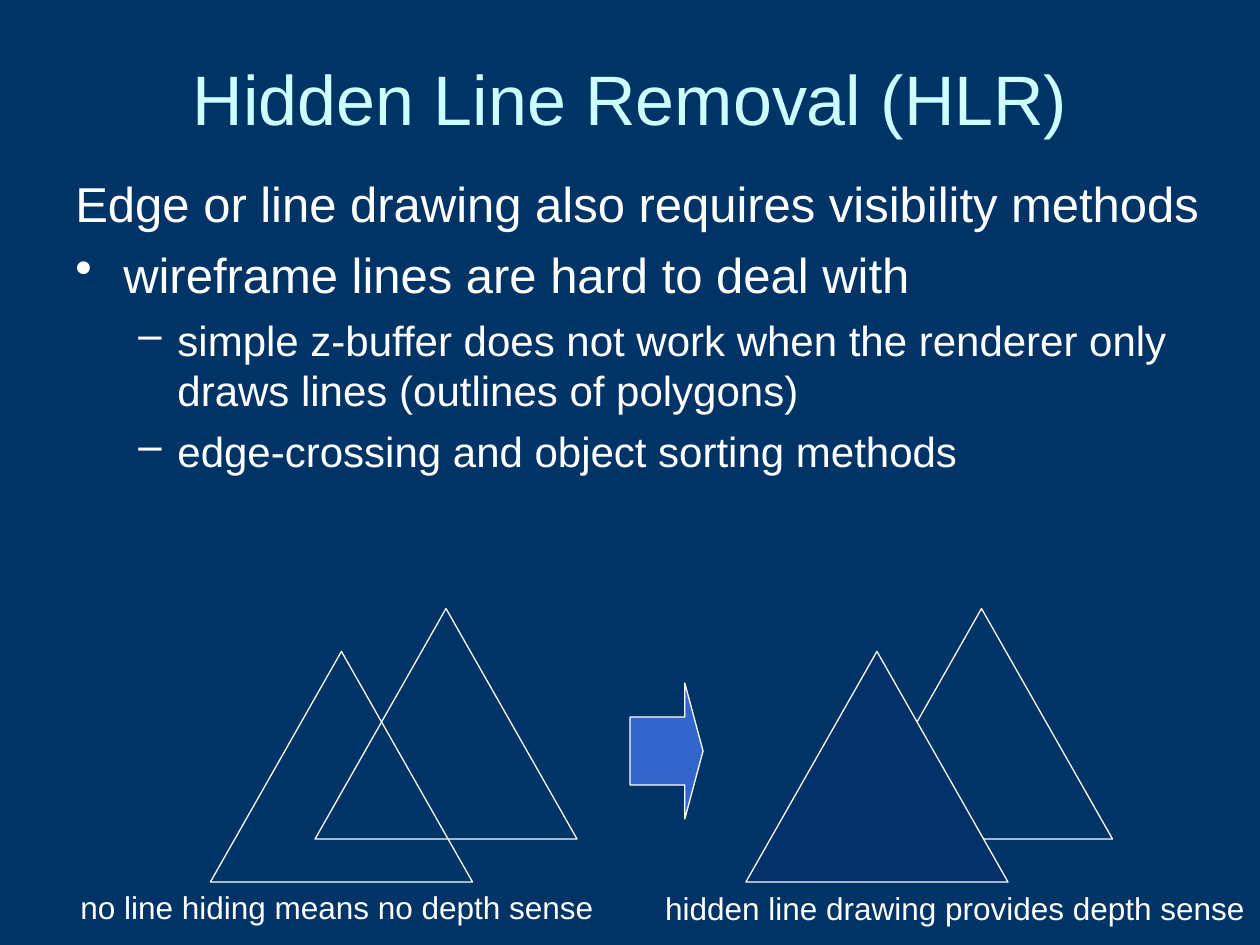
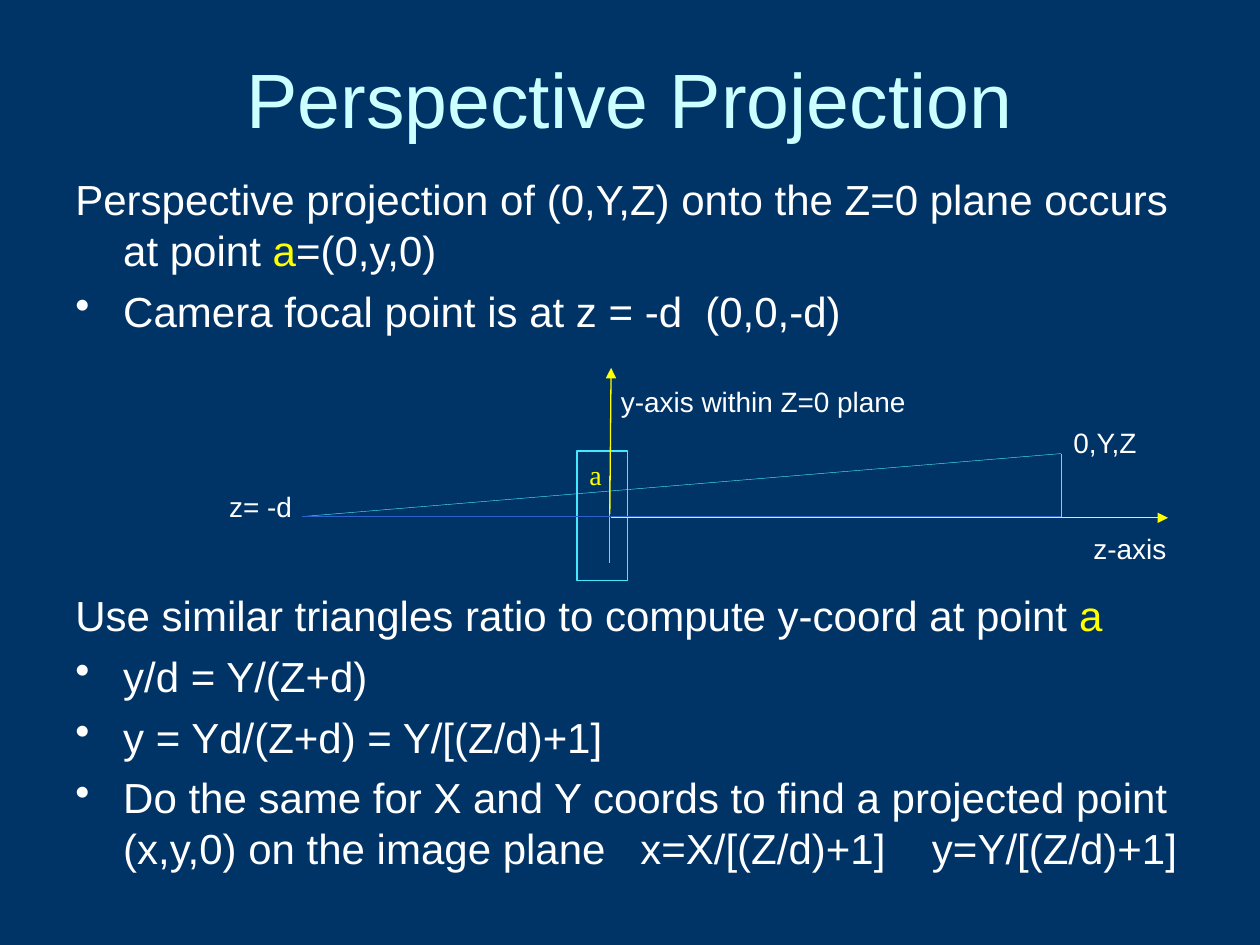
import pptx
import pptx.util
import pptx.dml.color
import pptx.enum.shapes
import pptx.enum.text
import pptx.oxml.ns
import lxml.etree

NAVY, DEEP, BLUE, ROYAL = "003366", "013168", "3366CC", "2E62CB"
WHITE, ICE, CYAN, GOLD = "FFFFFF", "CCFFFF", "46E8FF", "FFFF00"

Inches = pptx.util.Inches
Pt = pptx.util.Pt
Kind = pptx.enum.shapes.MSO_SHAPE
Align = pptx.enum.text.PP_ALIGN
Anchor = pptx.enum.text.MSO_ANCHOR


def rgb(code):
    return pptx.dml.color.RGBColor.from_string(code)


def add_tag(node, name, **attrs):
    return lxml.etree.SubElement(node, pptx.oxml.ns.qn(name), attrs)


class Deck:
    """Holds the style and the current slide."""

    # level: (left margin, hanging indent, bullet)
    levels = {
        "lead": (0.38, -0.38, None),
        "dot": (0.38, -0.38, "•"),
        "dash": (0.81, -0.31, "–"),
    }

    def __init__(self):
        self.prs = pptx.Presentation()
        self.prs.slide_width = Inches(10)
        self.prs.slide_height = Inches(7.5)
        fill = self.prs.slide_master.background.fill
        fill.solid()
        fill.fore_color.rgb = rgb(NAVY)
        self.slide = None

    def page(self, title, size):
        self.slide = self.prs.slides.add_slide(self.prs.slide_layouts[6])
        box = self.text(title, 0.5, 0.3, 9, 0.95, size, ICE)
        box.text_frame.vertical_anchor = Anchor.MIDDLE
        box.text_frame.paragraphs[0].alignment = Align.CENTER

    def font(self, para, size, color=WHITE, name="Arial"):
        para.font.name = name
        para.font.size = Pt(size)
        para.font.color.rgb = rgb(color)

    def text(self, words, x, y, w, h, size, color=WHITE, wrap=True):
        box = self.slide.shapes.add_textbox(
            Inches(x), Inches(y), Inches(w), Inches(h))
        box.text_frame.word_wrap = wrap
        para = box.text_frame.paragraphs[0]
        para.text = words
        self.font(para, size, color)
        return box

    def body(self, items, w, h):
        """Items are (level, size, space before, words); |bars| mark gold."""
        box = self.slide.shapes.add_textbox(
            Inches(0.5), Inches(1.33), Inches(w), Inches(h))
        frame = box.text_frame
        frame.word_wrap = True
        for num, (level, size, gap, words) in enumerate(items):
            para = frame.add_paragraph() if num else frame.paragraphs[0]
            left, hang, mark = self.levels[level]
            para.space_before = Pt(gap)
            props = para._p.get_or_add_pPr()
            props.set("marL", str(Inches(left)))
            props.set("indent", str(Inches(hang)))
            if mark:
                add_tag(props, "a:buChar", char=mark)
            else:
                add_tag(props, "a:buNone")
            self.font(para, size)
            for turn, part in enumerate(words.split("|")):
                if part:
                    run = para.add_run()
                    run.text = part
                    if turn % 2:
                        run.font.color.rgb = rgb(GOLD)

    def shape(self, kind, x, y, w, h, line=WHITE, fill=None):
        item = self.slide.shapes.add_shape(
            kind, Inches(x), Inches(y), Inches(w), Inches(h))
        item.shadow.inherit = False
        item.line.color.rgb = rgb(line)
        item.line.width = Pt(0.75)
        if fill:
            item.fill.solid()
            item.fill.fore_color.rgb = rgb(fill)
        else:
            item.fill.background()
        return item

    def line(self, start, end, color, width=0.75, arrow=False):
        item = self.slide.shapes.add_connector(
            pptx.enum.shapes.MSO_CONNECTOR.STRAIGHT,
            *map(Inches, start + end))
        item.line.color.rgb = rgb(color)
        item.line.width = Pt(width)
        if arrow:
            add_tag(item.line._get_or_add_ln(), "a:tailEnd", type="triangle")
        add_tag(item._element.spPr, "a:effectLst")


def hidden(deck):
    deck.page("Hidden Line Removal (HLR)", 40)
    deck.body([
        ("lead", 28, 7, "Edge or line drawing also requires visibility methods"),
        ("dot", 28, 7, "wireframe lines are hard to deal with"),
        ("dash", 24, 6, "simple z-buffer does not work when the renderer only "
                        "draws lines (outlines of polygons)"),
        ("dash", 24, 6, "edge-crossing and object sorting methods"),
    ], 9.25, 3.33)

    # Triangle pairs: see-through, then with the front one filled
    for left, fill in ((1.67, None), (5.92, DEEP)):
        deck.shape(Kind.ISOSCELES_TRIANGLE, left + 0.83, 4.83, 2.08, 1.83)
        deck.shape(Kind.ISOSCELES_TRIANGLE, left, 5.17, 2.08, 1.83, fill=fill)
    arrow = deck.shape(Kind.RIGHT_ARROW, 5, 5.42, 0.58, 1.08, fill=BLUE)
    arrow.adjustments[1] = 0.25

    # Captions
    deck.text("hidden line drawing provides depth sense",
              5.18, 7.01, 4.8, 0.4, 18, wrap=False)
    deck.text("no line hiding means no depth sense",
              0.54, 7, 4.27, 0.4, 18, wrap=False)


def project(deck):
    deck.page("Perspective Projection", 44)
    # The wide gap before the second lead leaves room for the diagram
    deck.body([
        ("lead", 24, 6, "Perspective projection of (0,Y,Z) onto the Z=0 plane "
                        "occurs at point |a|=(0,y,0)"),
        ("dot", 24, 6, "Camera focal point is at z = -d  (0,0,-d)"),
        ("lead", 24, 145, "Use similar triangles ratio to compute y-coord "
                          "at point |a|"),
        ("dot", 24, 6, "y/d = Y/(Z+d)"),
        ("dot", 24, 6, "y = Yd/(Z+d) = Y/[(Z/d)+1]"),
        ("dot", 24, 6, "Do the same for X and Y coords to find a projected "
                       "point (x,y,0) on the image plane   x=X/[(Z/d)+1]    "
                       "y=Y/[(Z/d)+1]"),
    ], 9, 5.92)

    # Sight lines and image plane
    eye, point, foot = (2.4, 4.1), (8.42, 3.6), (8.42, 4.1)
    deck.line((4.84, 3.78), (4.84, 4.47), CYAN)
    deck.line(point, eye, CYAN, 0.25)
    deck.line(point, foot, CYAN, 0.25)
    plane = deck.shape(Kind.RECTANGLE, 4.58, 3.58, 0.4, 1.03, CYAN)
    plane.text_frame.vertical_anchor = Anchor.TOP
    para = plane.text_frame.paragraphs[0]
    para.text = "a"
    para.alignment = Align.LEFT
    deck.font(para, 16, GOLD, "Times New Roman")

    # Axes
    deck.line(eye, foot, ROYAL)
    deck.line((4.84, 4.08), (4.85, 2.92), GOLD, arrow=True)
    deck.line((4.85, 4.11), (9.27, 4.11), GOLD, arrow=True)

    # Labels
    for words, x, y, w, h in (
        ("0,Y,Z", 8.42, 3.33, 0.83, 0.42),
        ("z= -d", 1.72, 3.84, 0.75, 0.24),
        ("y-axis within Z=0 plane", 4.83, 3, 2.5, 0.33),
        ("z-axis", 8.58, 4.17, 1.17, 0.24),
    ):
        deck.text(words, x, y, w, h, 16)


def main():
    deck = Deck()
    hidden(deck)
    project(deck)
    deck.prs.save("out.pptx")


if __name__ == "__main__":
    main()
